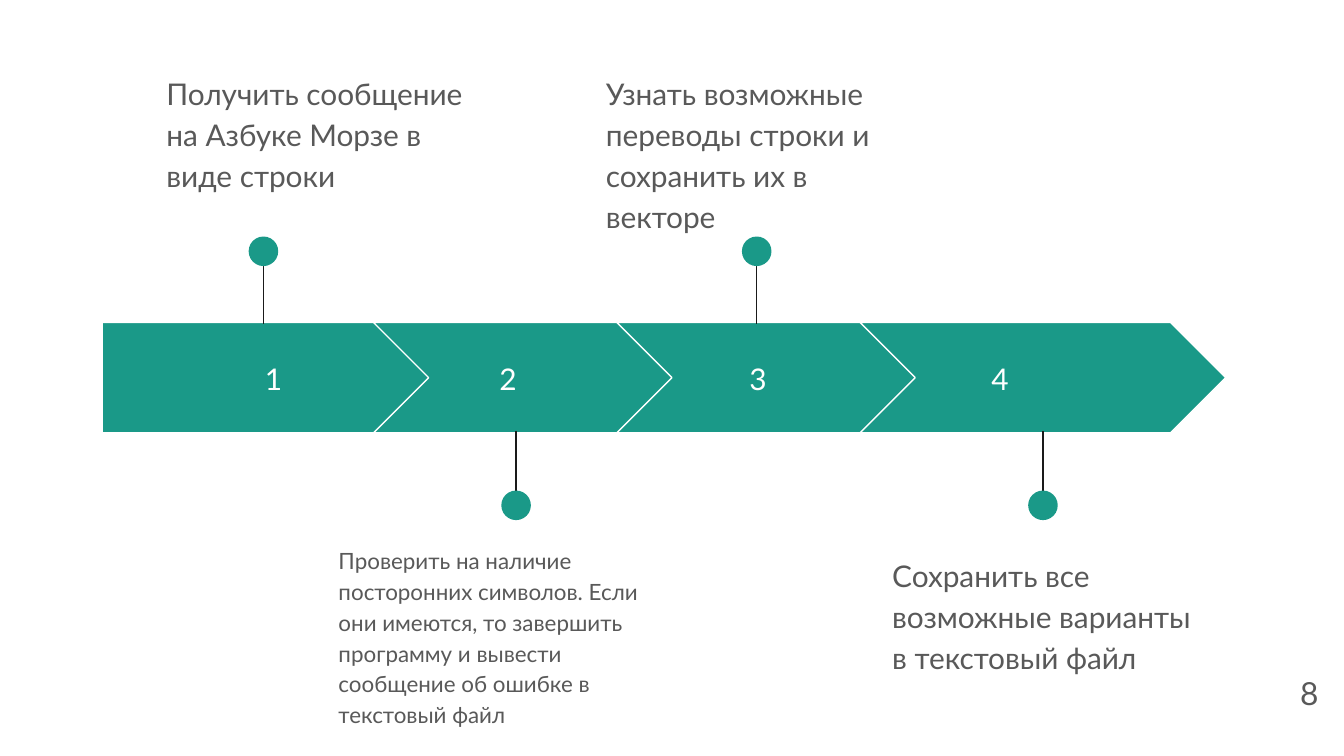
from pptx import Presentation
from pptx.dml.color import RGBColor
from pptx.enum.shapes import MSO_CONNECTOR, MSO_SHAPE
from pptx.enum.text import MSO_ANCHOR, PP_ALIGN
from pptx.oxml.ns import qn
from pptx.util import Inches, Pt
from lxml import etree

TEAL = RGBColor(0x1A, 0x99, 0x88)
WHITE = RGBColor(0xFF, 0xFF, 0xFF)
BLACK = RGBColor(0x1A, 0x1A, 0x1A)
GRAY = RGBColor(0x59, 0x59, 0x59)

BAR_TOP, BAR_HEIGHT = 2.4, 0.82
CHEVRON_LEFT, CHEVRON_STEP = 2.78, 1.81
DOT = 0.22

prs = Presentation()
prs.slide_width = Inches(10)
prs.slide_height = Inches(10 * 9 / 16)
slide = prs.slides.add_slide(prs.slide_layouts[6])


def add_text(box, text, size, color, align=PP_ALIGN.LEFT,
             anchor=MSO_ANCHOR.TOP, spacing=1.0):
    """Add a wrapped Lato text box at box (left, top, width, height)."""
    tf = slide.shapes.add_textbox(*map(Inches, box)).text_frame
    tf.word_wrap = True
    tf.vertical_anchor = anchor
    tf.margin_left = tf.margin_right = Inches(0.1)
    tf.margin_top = tf.margin_bottom = Inches(0.1)
    p = tf.paragraphs[0]
    p.text = text
    p.alignment = align
    p.line_spacing = spacing
    font = p.runs[0].font
    font.name, font.size = "Lato", Pt(size)
    font.color.rgb = color


def add_teal_shape(kind, left, top, width, height):
    """Add a flat teal shape and return it."""
    sp = slide.shapes.add_shape(kind, *map(Inches, (left, top, width, height)))
    sp.shadow.inherit = False
    sp.fill.solid()
    sp.fill.fore_color.rgb = TEAL
    sp.line.fill.background()
    return sp


# arrow width, number left and width, pin x, pin above, note box, size, note
steps = [
    (2.45, 1.24, 1.59, 1.96, True, (1.14, 0.42, 2.45, 0.99), 16,
     "Получить сообщение на Азбуке Морзе в виде строки"),
    (2.24, 3.06, 1.44, 3.84, False, (2.42, 3.94, 2.45, 0.99), 12,
     "Проверить на наличие посторонних символов. Если они имеются, "
     "то завершить программу и вывести сообщение об ошибке в текстовый файл"),
    (2.24, 4.92, 1.44, 5.63, True, (4.41, 0.42, 2.45, 1.26), 16,
     "Узнать возможные переводы строки и сохранить иx в векторе"),
    (2.72, 6.72, 1.44, 7.76, False, (6.54, 4.01, 2.45, 0.99), 16,
     "Сохранить все возможные варианты в текстовый файл"),
]

for i, (width, num_left, num_width, pin_x, above, box, size, note) in enumerate(steps):
    kind = MSO_SHAPE.CHEVRON if i else MSO_SHAPE.PENTAGON
    left = CHEVRON_LEFT + (i - 1) * CHEVRON_STEP if i else 0.76
    arrow = add_teal_shape(kind, left, BAR_TOP, width, BAR_HEIGHT)
    arrow.adjustments[0] = 0.5
    arrow.line.color.rgb = WHITE
    arrow.line.width = Pt(0.75)
    add_text((num_left, 2.56, num_width, 0.51), str(i + 1), 16, WHITE,
             PP_ALIGN.CENTER, MSO_ANCHOR.MIDDLE)

    start, end, dot_top = (1.8, 2.41, 1.76) if above else (3.82, 3.21, 3.65)
    pin = slide.shapes.add_connector(
        MSO_CONNECTOR.STRAIGHT, *map(Inches, (pin_x, start, pin_x, end)))
    pin.line.color.rgb = BLACK
    pin.line.width = Pt(0.75)
    etree.SubElement(pin._element.spPr, qn("a:effectLst"))
    add_teal_shape(MSO_SHAPE.OVAL, pin_x - DOT / 2, dot_top, DOT, DOT)
    add_text(box, note, size, GRAY, spacing=1.15)

add_text((9.31, 4.94, 0.6, 0.43), "8", 17, GRAY, PP_ALIGN.RIGHT, MSO_ANCHOR.MIDDLE)

prs.save("out.pptx")
